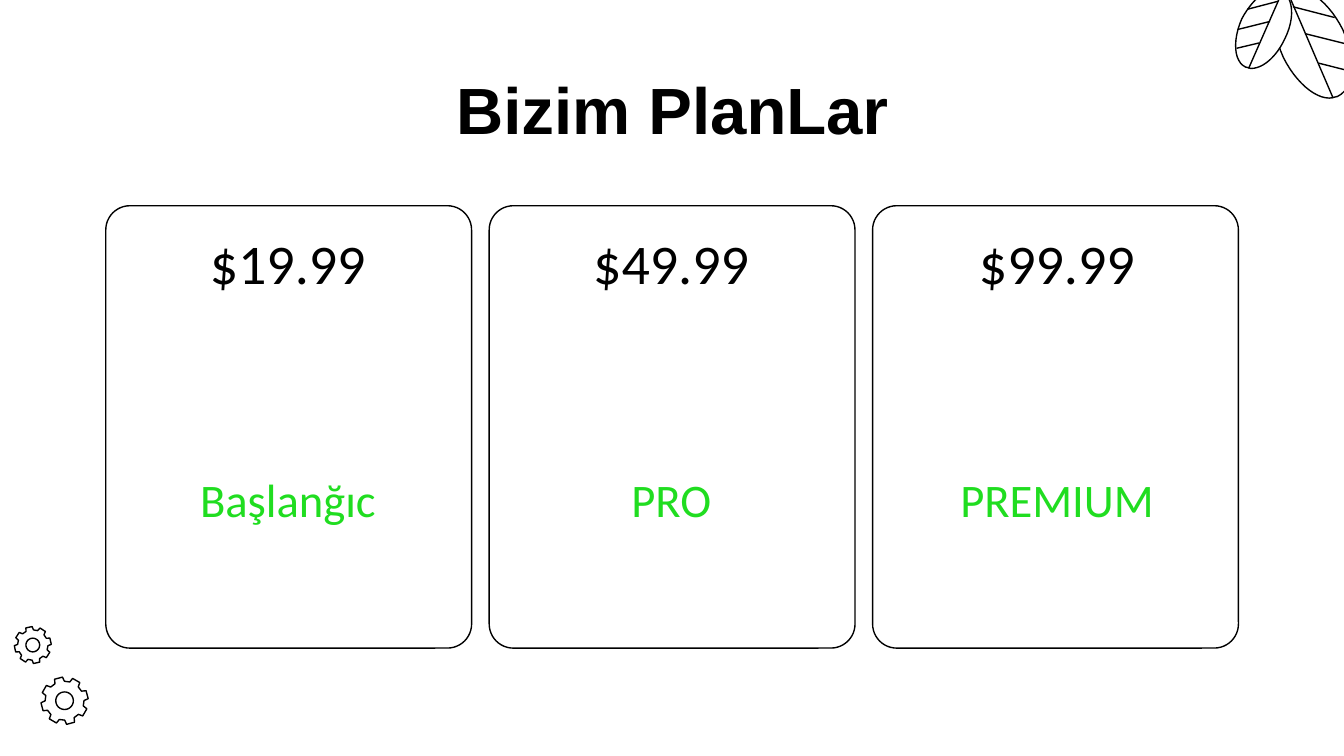
import math
from dataclasses import dataclass

from pptx import Presentation
from pptx import util as u
from pptx.dml.color import RGBColor
from pptx.enum import shapes, text
from pptx.oxml.ns import qn
from pptx.oxml.xmlchemy import OxmlElement

Pt = u.Pt


@dataclass(frozen=True)
class Theme:
    ink = RGBColor(0x00, 0x00, 0x00)
    paper = RGBColor(0xFF, 0xFF, 0xFF)
    plan = RGBColor(0x20, 0xDD, 0x20)
    title_font = "Arial"
    body_font = "Calibri"
    title_size = Pt(35)
    price_size = Pt(30)
    plan_size = Pt(25)
    line = Pt(0.75)


theme = Theme()
NO_GRID_STYLE = "{2D5ABB26-0587-4C30-8999-92F81FD0307C}"


def style_outline(sp, filled):
    sp.shadow.inherit = False
    if filled:
        sp.fill.solid()
        sp.fill.fore_color.rgb = theme.paper
    else:
        sp.fill.background()
    sp.line.color.rgb = theme.ink
    sp.line.width = theme.line


def add_outline(s, contours, filled):
    """Draw closed contours, each a list of (x, y) in points, as one freeform."""
    fb = None
    for contour in contours:
        pts = [(Pt(x), Pt(y)) for x, y in contour]
        if fb is None:
            fb = s.shapes.build_freeform(*pts[0], scale=1.0)
        else:
            fb.move_to(*pts[0])
        fb.add_line_segments(pts[1:], close=True)
    style_outline(fb.convert_to_shape(), filled)


prs = Presentation()
prs.slide_width, prs.slide_height = Pt(720), Pt(405)
s = prs.slides.add_slide(prs.slide_layouts[5])

# Title
title = s.shapes.title
title.left, title.top, title.width, title.height = Pt(56.7), Pt(35.3), Pt(607), Pt(45.4)
tf = title.text_frame
tf.text = "Bizim PlanLar"
tf.auto_size = text.MSO_AUTO_SIZE.NONE
tf.vertical_anchor = text.MSO_ANCHOR.MIDDLE
tf.margin_left = tf.margin_right = tf.margin_top = tf.margin_bottom = 0
p = tf.paragraphs[0]
p.alignment = text.PP_ALIGN.CENTER
font = p.runs[0].font
font.name, font.size, font.bold = theme.title_font, theme.title_size, True
font.color.rgb = theme.ink

# Leaves: start point, Bezier curves (two controls and an end), then the veins
leaves = [
    ((712.1, 52.6),
     [((713.5, 52.6), (715.7, 51.8), (716.4, 51.8)),
      ((725.8, 47.5), (726.5, 31.7), (719.3, 15.8)),
      ((712.8, 2.9), (702.7, -5.8), (694.8, -5.8)),
      ((693.4, -5.8), (691.9, -5), (690.5, -4.3)),
      ((681.1, 0), (680.4, 15.1), (687.6, 31)),
      ((694.1, 43.9), (704.2, 52.6), (712.1, 52.6))],
     [(692.6, 3.6, 715, 9.4), (699.1, 18, 722.2, 23.8),
      (706.3, 33.8, 723.6, 38.2), (714.2, 52.6, 689.8, -4.3)]),
    ((670.3, 36.7),
     [((669.6, 36.7), (668.2, 36), (667.4, 36)),
      ((661, 33.1), (660.2, 21.6), (665.3, 10.1)),
      ((670.3, 0.7), (677.5, -5.8), (683.3, -5.8)),
      ((684.7, -5.8), (685.4, -5), (686.9, -5)),
      ((692.6, -1.4), (694.1, 9.4), (688.3, 20.9)),
      ((684, 30.2), (676.8, 36.7), (670.3, 36.7))],
     [(684.7, 0.7, 668.2, 5), (680.4, 11.5, 663.1, 15.8),
      (674.6, 23, 662.4, 25.9), (668.9, 36.7, 686.9, -4.3)]),
]
STEPS = 12
for start, curves, veins in leaves:
    edge = [start]
    for c1, c2, end in curves:
        a = edge[-1]
        for i in range(1, STEPS + 1):
            t = i / STEPS
            weights = ((1 - t) ** 3, 3 * t * (1 - t) ** 2, 3 * t * t * (1 - t), t ** 3)
            edge.append(tuple(sum(w * q[k] for w, q in zip(weights, (a, c1, c2, end)))
                              for k in (0, 1)))
    add_outline(s, [edge], filled=True)
    for vein in veins:
        cx = s.shapes.add_connector(shapes.MSO_CONNECTOR.STRAIGHT, *map(Pt, vein))
        cx.line.color.rgb = theme.ink
        cx.line.width = theme.line
        cx._element.spPr.append(OxmlElement("a:effectLst"))

# Gears: centre, outer radius, angle of the first tooth
TEETH = 8
for x, y, radius, turn in [(34.6, 375.4, 12.7, -60), (17.6, 345.6, 9.9, -57)]:
    rim = [(0.82 if abs(off) > 12 else 1, turn + 360 / TEETH * tooth + off)
           for tooth in range(TEETH) for off in (-14.5, -10, 10, 14.5)]
    hub = [(0.37, angle) for angle in range(0, 360, 10)]
    contours = [[(x + radius * k * math.cos(math.radians(angle)),
                  y + radius * k * math.sin(math.radians(angle))) for k, angle in ring]
                for ring in (hub, rim)]
    add_outline(s, contours, filled=False)

# Cards
CARD_LEFT, CARD_TOP, CARD_W, CARD_H, PITCH = 56.7, 110.2, 196, 237, 205.4
for i in range(3):
    card = s.shapes.add_shape(shapes.MSO_SHAPE.ROUNDED_RECTANGLE, Pt(CARD_LEFT + i * PITCH),
                              Pt(CARD_TOP), Pt(CARD_W), Pt(CARD_H))
    card.adjustments[0] = 0.066
    style_outline(card, filled=True)

# Plan tables: price in the first row, plan name in the third
ROW_H = 63.4
plans = [(56.7, 195, "$19.99", "Başlanğıc"),
         (262.1, 195, "$49.99", "PRO"),
         (469.4, 193.7, "$99.99", "PREMIUM")]
for left, width, price, name in plans:
    table = s.shapes.add_table(3, 1, Pt(left), Pt(CARD_TOP), Pt(width), Pt(3 * ROW_H)).table
    table.first_row = table.horz_banding = False
    table._tbl.tblPr.find(qn("a:tableStyleId")).text = NO_GRID_STYLE
    rows = [(price, theme.price_size, theme.ink), ("", None, None),
            (name, theme.plan_size, theme.plan)]
    for i, (label, size, color) in enumerate(rows):
        cell = table.cell(i, 0)
        cell.fill.background()
        if not label:
            continue
        cell.text = label
        cell.vertical_anchor = text.MSO_ANCHOR.MIDDLE
        cell.margin_left = cell.margin_right = cell.margin_top = cell.margin_bottom = Pt(7.2)
        p = cell.text_frame.paragraphs[0]
        p.alignment = text.PP_ALIGN.CENTER
        font = p.runs[0].font
        font.name, font.size = theme.body_font, size
        font.color.rgb = color

prs.save("out.pptx")
